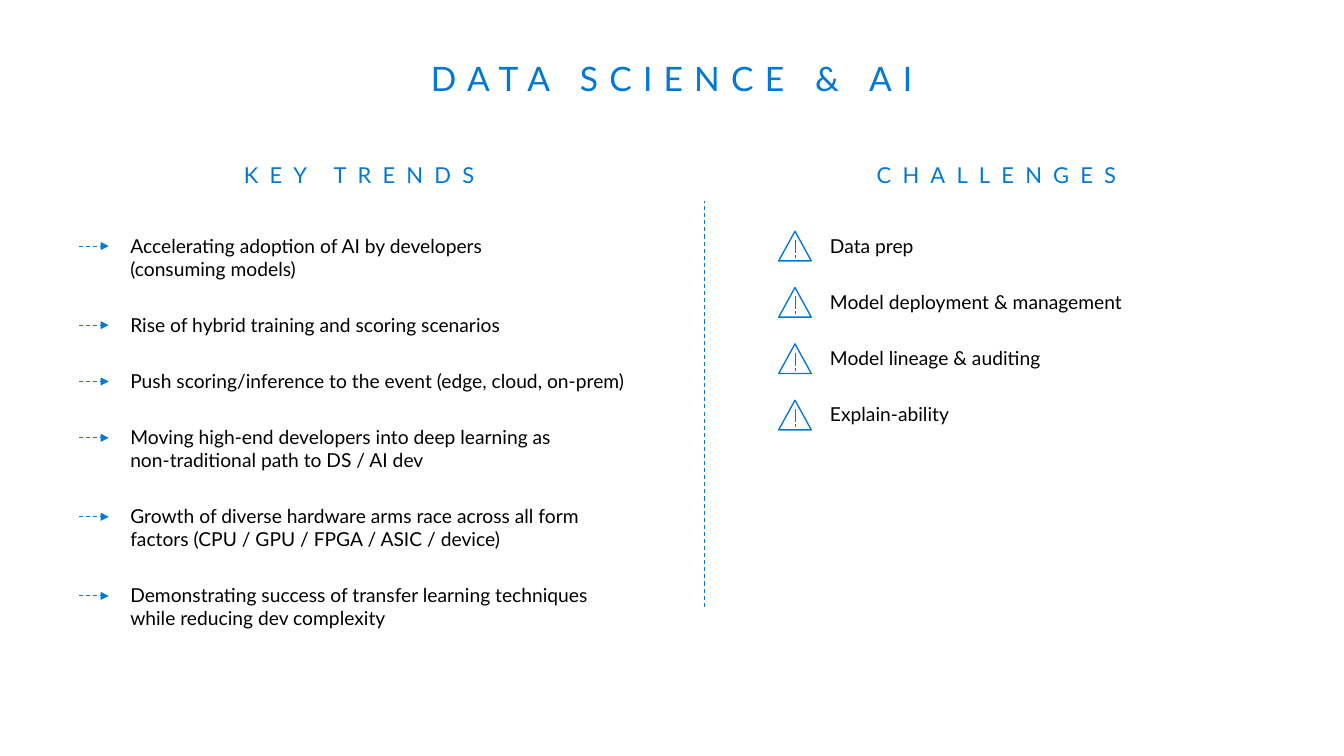
"""Build the Data Science & AI slide with its key trends and challenges."""
from dataclasses import dataclass

from lxml import etree
from pptx import Presentation
from pptx.dml.color import RGBColor
from pptx.enum.dml import MSO_LINE
from pptx.enum.shapes import MSO_CONNECTOR, MSO_SHAPE
from pptx.enum.text import MSO_ANCHOR, MSO_AUTO_SIZE, PP_ALIGN
from pptx.oxml.ns import qn
from pptx.util import Inches, Pt

STRAIGHT = MSO_CONNECTOR.STRAIGHT
TRIANGLE = MSO_SHAPE.ISOSCELES_TRIANGLE
DASH = MSO_LINE.DASH
MIDDLE = MSO_ANCHOR.MIDDLE
FIT_SHAPE = MSO_AUTO_SIZE.SHAPE_TO_FIT_TEXT
CENTER = PP_ALIGN.CENTER

BLUE = RGBColor(0x00, 0x78, 0xD7)
BLACK = RGBColor(0x00, 0x00, 0x00)
FONT = "Lato"

WIDTH, HEIGHT = Inches(13.6), Inches(7.65)
COLUMNS, ROWS = 272, 153
LIST_TOP = 46.4
FIRST_ARROW = 49.8
FIRST_WARNING = 46.8
ITEM_STEP = 11.4
LINE_STEP = 4.6


@dataclass(frozen=True)
class Heading:
    text: str
    left: float
    top: float
    width: float
    height: float
    size: float


@dataclass(frozen=True)
class Trend:
    text: str
    lines: int = 2


HEADINGS = [
    Heading("DATA SCIENCE & AI", 6, 6.4, 260, 20, 24.5),
    Heading("KEY TRENDS", 21, 30.8, 103.4, 9.8, 16),
    Heading("CHALLENGES", 150, 30.8, 103.4, 9.8, 16),
]
TRENDS = [
    Trend("Accelerating adoption of AI by developers\v(consuming models)"),
    Trend("Rise of hybrid training and scoring scenarios", 1),
    Trend("Push scoring/inference to the event (edge, cloud, on-prem)", 1),
    Trend("Moving high-end developers into deep learning as\v"
          "non-traditional path to DS / AI dev"),
    Trend("Growth of diverse hardware arms race across all form factors "
          "(CPU / GPU / FPGA / ASIC / device)"),
    Trend("Demonstrating success of transfer learning techniques\v"
          "while reducing dev complexity"),
]
CHALLENGES = ["Data prep", "Model deployment & management",
              "Model lineage & auditing", "Explain-ability"]


def col(n: float) -> int:
    """Return the horizontal length of n grid columns."""
    return round(WIDTH * n / COLUMNS)


def row(n: float) -> int:
    """Return the vertical length of n grid rows."""
    return round(HEIGHT * n / ROWS)


def style_run(r, size: float, color: RGBColor) -> None:
    """Set the font of a run."""
    r.font.name = FONT
    r.font.size = Pt(size)
    r.font.color.rgb = color


def add_heading(s, heading: Heading) -> None:
    """Add a centred, letter-spaced heading."""
    box = s.shapes.add_textbox(col(heading.left), row(heading.top),
                               col(heading.width), row(heading.height))
    tf = box.text_frame
    tf.word_wrap = True
    tf.vertical_anchor = MIDDLE
    tf.margin_left = tf.margin_right = Inches(0.16)
    tf.margin_top = tf.margin_bottom = Inches(0.1)
    tf.text = heading.text
    p = tf.paragraphs[0]
    p.alignment = CENTER
    p.line_spacing = 0.9
    r = p.runs[0]
    style_run(r, heading.size, BLUE)
    r.font._element.set("spc", "820")


def add_list(s, items: list[str], left: float, width: float, height: float) -> None:
    """Add a text box with one spaced paragraph per item."""
    box = s.shapes.add_textbox(col(left), row(LIST_TOP), col(width), row(height))
    tf = box.text_frame
    tf.word_wrap = True
    tf.auto_size = FIT_SHAPE
    for i, item in enumerate(items):
        p = tf.add_paragraph() if i else tf.paragraphs[0]
        p.text = item
        if i:
            p.space_before = Pt(24)
        for r in p.runs:
            style_run(r, 14, BLACK)
        for br in p._p.findall(qn("a:br")):
            etree.SubElement(br, qn("a:rPr")).set("sz", "1400")


def add_line(shapes, x1: float, y1: float, x2: float, y2: float,
             weight: float = 0.75, dashed: bool = True, arrow: bool = False) -> None:
    """Add a straight blue line, optionally dashed or with an arrowhead."""
    line = shapes.add_connector(STRAIGHT, col(x1), row(y1), col(x2), row(y2))
    line.line.color.rgb = BLUE
    line.line.width = Pt(weight)
    if dashed:
        line.line.dash_style = DASH
    if arrow:
        etree.SubElement(line.line._get_or_add_ln(), qn("a:tailEnd")).set("type", "triangle")
    etree.SubElement(line._element.spPr, qn("a:effectLst"))


def add_warning(s, top: float) -> None:
    """Add a grouped warning triangle with an exclamation mark."""
    shapes = s.shapes.add_group_shape().shapes
    sign = shapes.add_shape(TRIANGLE, col(157.6), row(top), col(6.6), row(6))
    sign.shadow.inherit = False
    sign.fill.background()
    sign.line.color.rgb = BLUE
    sign.line.width = Pt(1)
    for start, end in ((1.8, 4.4), (4.8, 5.4)):
        add_line(shapes, 161, top + start, 161, top + end, 1, dashed=False)


def main() -> None:
    """Build and save the slide."""
    prs = Presentation()
    prs.slide_width, prs.slide_height = WIDTH, HEIGHT
    s = prs.slides.add_slide(prs.slide_layouts[6])
    for heading in HEADINGS:
        add_heading(s, heading)
    add_list(s, [trend.text for trend in TRENDS], 24.4, 106.6, 82.8)
    add_list(s, CHALLENGES, 166, 71.6, 41)
    add_line(s.shapes, 142.6, 122.8, 142.6, 40.6)
    y = FIRST_ARROW
    for trend in TRENDS:
        add_line(s.shapes, 16, y, 22, y, arrow=True)
        y += ITEM_STEP + LINE_STEP * (trend.lines - 1)
    for i in range(len(CHALLENGES)):
        add_warning(s, FIRST_WARNING + i * ITEM_STEP)
    prs.save("out.pptx")


if __name__ == "__main__":
    main()
